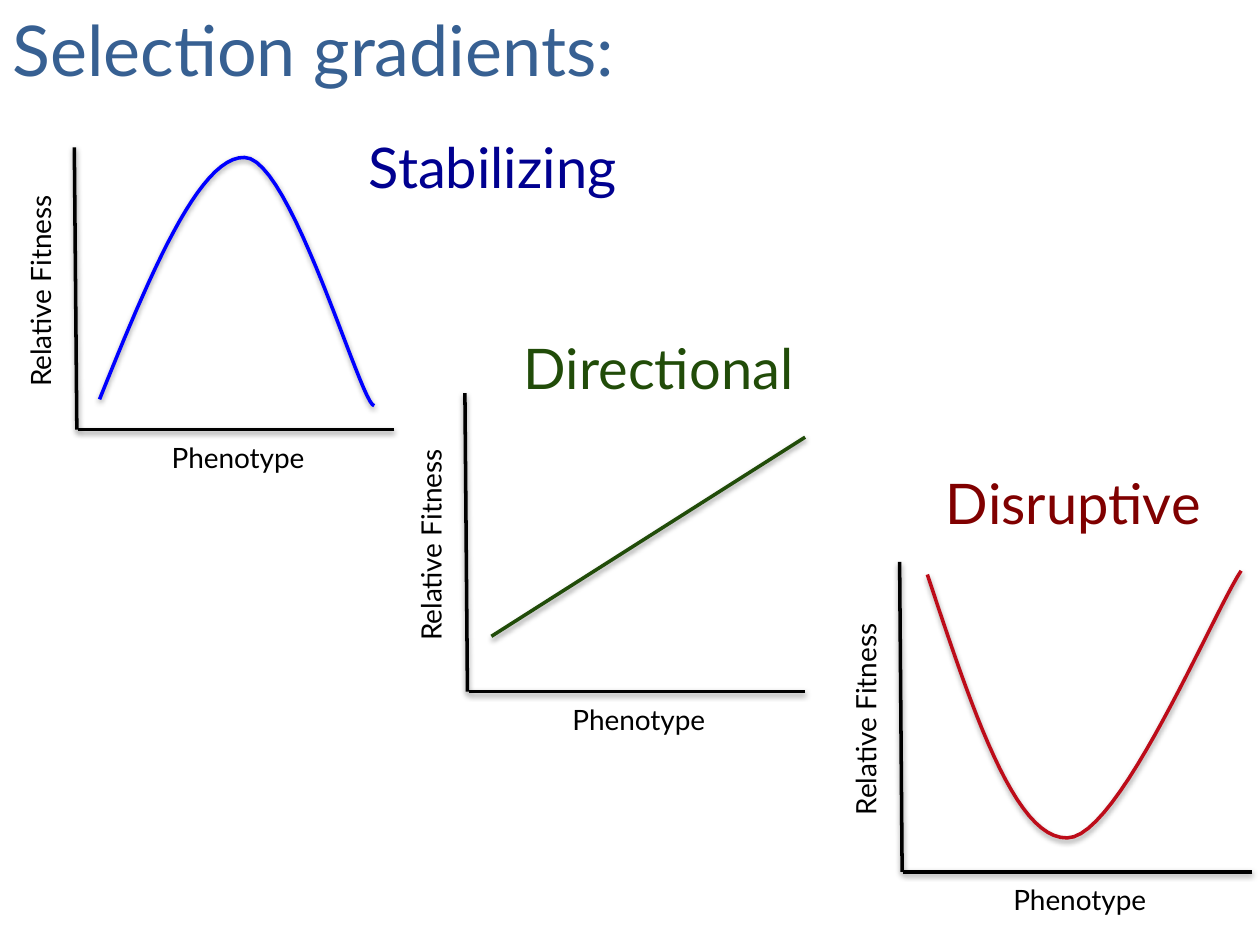
import dataclasses

import lxml.etree
import pptx
import pptx.dml.color
import pptx.enum.shapes
import pptx.enum.text
import pptx.oxml.ns
import pptx.util

Inches = pptx.util.Inches


@dataclasses.dataclass(frozen=True)
class Theme:
    font: str = "Lato"
    title_size: int = 40
    heading_size: int = 32
    axis_size: int = 16
    line_width: int = 2
    title: str = "376092"
    ink: str = "000000"
    stabilizing: str = "000090"
    stabilizing_curve: str = "0000FF"
    directional: str = "214C09"
    disruptive: str = "800000"
    disruptive_curve: str = "BD0C19"


THEME = Theme()


def rgb(color):
    return pptx.dml.color.RGBColor.from_string(color)


def write_text(box, text, size, color, align="LEFT", wrap=False):
    frame = box.text_frame
    frame.text = text
    frame_format = {
        "word_wrap": wrap,
        "auto_size": pptx.enum.text.MSO_AUTO_SIZE.NONE,
        "vertical_anchor": pptx.enum.text.MSO_ANCHOR.TOP,
    }
    for name, value in frame_format.items():
        setattr(frame, name, value)
    para = frame.paragraphs[0]
    para.alignment = getattr(pptx.enum.text.PP_ALIGN, align)
    span = para.runs[0]
    for name, value in {"name": THEME.font, "size": pptx.util.Pt(size)}.items():
        setattr(span.font, name, value)
    span.font.color.rgb = rgb(color)


def style_line(shape, color):
    """Colour the line and give it a soft shadow straight below."""
    shape.line.color.rgb = rgb(color)
    shape.line.width = pptx.util.Pt(THEME.line_width)
    qn = pptx.oxml.ns.qn
    effects = lxml.etree.SubElement(shape._element.spPr, qn("a:effectLst"))
    shadow = lxml.etree.SubElement(
        effects, qn("a:outerShdw"), blurRad="40000", dist="20000",
        dir="5400000", rotWithShape="0")
    shade = lxml.etree.SubElement(shadow, qn("a:srgbClr"), val=THEME.ink)
    lxml.etree.SubElement(shade, qn("a:alpha"), val="38000")


def add_line(shapes, start, end, color):
    line = shapes.add_connector(
        pptx.enum.shapes.MSO_CONNECTOR.STRAIGHT,
        *(Inches(value) for value in (*start, *end)))
    style_line(line, color)


def bezier_points(controls, steps=24):
    """Points along joined cubic curves that share their end points."""
    points = [controls[0]]
    for first in range(0, len(controls) - 1, 3):
        a, b, c, d = controls[first:first + 4]
        for step in range(1, steps + 1):
            t = step / steps
            u = 1 - t
            points.append(tuple(
                u**3 * a[i] + 3 * u * u * t * b[i] + 3 * u * t * t * c[i] + t**3 * d[i]
                for i in (0, 1)))
    return points


def add_curve(shapes, controls, color):
    points = [(Inches(x), Inches(y)) for x, y in bezier_points(controls)]
    builder = shapes.build_freeform(*points[0], scale=1.0)
    builder.add_line_segments(points[1:], close=False)
    curve = builder.convert_to_shape()
    curve.fill.background()
    style_line(curve, color)


def add_axis_label(shapes, text, center_x, center_y, width, rotation=0):
    height = 0.37
    label = shapes.add_textbox(
        Inches(center_x - width / 2), Inches(center_y - height / 2),
        Inches(width), Inches(height))
    label.rotation = rotation
    write_text(label, text, THEME.axis_size, THEME.ink, "CENTER", wrap=True)


def add_title(page):
    title = page.shapes.title
    place = {"left": 0, "top": 0, "width": 5.17, "height": 0.77}
    for name, value in place.items():
        setattr(title, name, Inches(value))
    write_text(title, "Selection gradients:", THEME.title_size, THEME.title)


def add_heading(page, text, left, top, color):
    box = page.shapes.add_textbox(
        Inches(left), Inches(top), Inches(2.4), Inches(0.64))
    write_text(box, text, THEME.heading_size, color)


def add_graph(page, left, top, width, height, points, color):
    """Axes, axis labels and curve; points are measured from the box corner."""
    shapes = page.shapes.add_group_shape().shapes
    right, bottom = left + width, top + height

    # Axes
    add_line(shapes, (left, top), (left + 0.02, bottom), THEME.ink)
    add_line(shapes, (right, bottom), (left + 0.03, bottom), THEME.ink)

    # Axis labels
    add_axis_label(shapes, "Relative Fitness", left - 0.27,
                   top + height / 2 + 0.02, height * 1.2, rotation=270)
    add_axis_label(shapes, "Phenotype", left + width / 2 + 0.03,
                   bottom + 0.22, width * 0.94)

    # Fitness curve
    placed = [(left + x, top + y) for x, y in points]
    if len(placed) == 2:
        add_line(shapes, *placed, color)
    else:
        add_curve(shapes, placed, color)


def main():
    deck = pptx.Presentation()
    deck.slide_width, deck.slide_height = Inches(10), Inches(7.5)
    page = deck.slides.add_slide(deck.slide_layouts.get_by_name("Title Only"))
    add_title(page)

    # Headings
    add_heading(page, "Stabilizing", 2.83, 1, THEME.stabilizing)
    add_heading(page, "Directional", 4.06, 2.6, THEME.directional)
    add_heading(page, "Disruptive", 7.41, 3.67, THEME.disruptive)

    # Graphs
    hill = [(0.2, 2), (0.59, 1.03), (0.99, 0.07), (1.35, 0.08),
            (1.72, 0.08), (2.28, 2.06), (2.38, 2.05)]
    valley = [(0.22, 0.1), (0.57, 1.15), (0.91, 2.2), (1.33, 2.19),
              (1.74, 2.19), (2.48, 0.42), (2.71, 0.07)]
    slope = [(2.7, 0.35), (0.21, 1.93)]
    add_graph(page, 0.59, 1.17, 2.54, 2.24, hill, THEME.stabilizing_curve)
    add_graph(page, 7.14, 4.46, 2.8, 2.46, valley, THEME.disruptive_curve)
    add_graph(page, 3.69, 3.12, 2.7, 2.37, slope, THEME.directional)

    deck.save("out.pptx")


if __name__ == "__main__":
    main()
